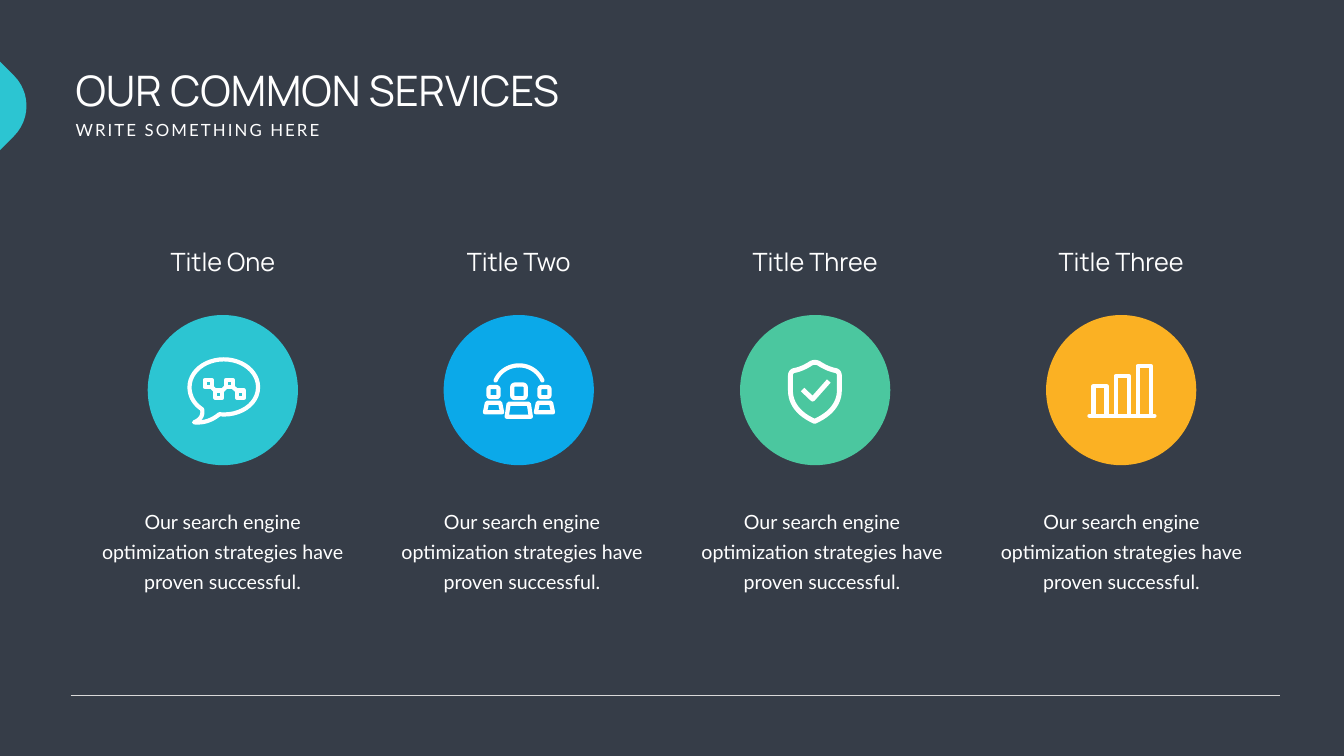
from lxml.etree import SubElement
from pptx import Presentation
from pptx.dml.color import RGBColor
from pptx.enum.shapes import MSO_CONNECTOR, MSO_SHAPE
from pptx.enum.text import MSO_ANCHOR, MSO_AUTO_SIZE, PP_ALIGN
from pptx.oxml.ns import qn
from pptx.util import Pt

PX = 9144  # one px is a hundredth of an inch
DARK = RGBColor(0x36, 0x3D, 0x48)
WHITE = RGBColor(0xFF, 0xFF, 0xFF)
GREY = RGBColor(0xD9, 0xD9, 0xD9)
TEAL = RGBColor(0x2C, 0xC5, 0xD2)
BLUE = RGBColor(0x0B, 0xA9, 0xE9)
GREEN = RGBColor(0x4B, 0xC7, 0x9F)
GOLD = RGBColor(0xFB, 0xB1, 0x23)


def stroke(shape, width=6, color=WHITE, cap="flat"):
    """Give a shape or connector a round-joined line and no shadow."""
    shape.line.color.rgb = color
    shape.line.width = Pt(width)
    props = shape.element.spPr
    line = props.find(qn("a:ln"))
    line.set("cap", cap)
    SubElement(line, qn("a:round"))
    SubElement(props, qn("a:effectLst"))


def trace(*parts, close=True):
    """Build one outline; a part lists points (x, y) and cubic curves of six numbers."""
    pen = None
    for steps in parts:
        dots = [steps[0]]
        for step in steps[1:]:
            if len(step) == 2:
                dots.append(step)
                continue
            start, (ax, ay, bx, by, cx, cy) = dots[-1], step
            for n in range(1, 13):
                t = n / 12
                u = 1 - t
                dots.append(tuple(
                    u**3 * p + 3 * u * u * t * a + 3 * u * t * t * b + t**3 * c
                    for p, a, b, c in zip(start, (ax, ay), (bx, by), (cx, cy))))
        dots = [(round(x * PX), round(y * PX)) for x, y in dots]
        if pen is None:
            pen = shapes.build_freeform(*dots[0])
        else:
            pen.move_to(*dots[0])
        pen.add_line_segments(dots[1:], close=close)
    shape = pen.convert_to_shape()
    shape.fill.background()
    return shape


deck = Presentation()
deck.slide_width, deck.slide_height = 2666 * PX, 1500 * PX
slide = deck.slides.add_slide(deck.slide_layouts[5])
shapes = slide.shapes
slide.background.fill.solid()
slide.background.fill.fore_color.rgb = DARK

# Title
title = shapes.title
title.left, title.top, title.width, title.height = (
    140 * PX, 122 * PX, 1606 * PX, 111 * PX)
frame = title.text_frame
frame.text = "OUR COMMON SERVICES"
frame.auto_size = MSO_AUTO_SIZE.NONE
frame.vertical_anchor = MSO_ANCHOR.MIDDLE
head = frame.paragraphs[0]
head.alignment = PP_ALIGN.LEFT
head.font.name, head.font.size = "Manrope", Pt(60)
head.font.color.rgb = WHITE

# Bottom rule and side tab
rule = shapes.add_connector(
    MSO_CONNECTOR.STRAIGHT, 140 * PX, 1379 * PX, 2540 * PX, 1379 * PX)
stroke(rule, 0.5, GREY)
tab = trace([(-62, 148), (-62, 187), (-62, 234, -24, 272, 23, 272), (62, 272)])
tab.rotation = 225
tab.fill.solid()
tab.fill.fore_color.rgb = TEAL
tab.line.fill.background()
tab.shadow.inherit = False

# Service circles, with the texts that go with them
BODY = "Our search engine optimization strategies have proven successful."
texts = [("WRITE SOMETHING HERE", 140, 233, 600, 50, "Lato", 24, PP_ALIGN.LEFT)]
items = [("Title One", 293, TEAL), ("Title Two", 880, BLUE),
         ("Title Three", 1468, GREEN), ("Title Three", 2075, GOLD)]
for i, (name, left, color) in enumerate(items):
    disc = shapes.add_shape(
        MSO_SHAPE.OVAL, left * PX, 625 * PX, 298 * PX, 298 * PX)
    disc.fill.solid()
    disc.fill.fore_color.rgb = color
    disc.line.fill.background()
    disc.shadow.inherit = False
    texts += [
        (name, left - 29, 484, 356, 71, "Manrope", 36, PP_ALIGN.CENTER),
        (BODY, 175 + round(i * 594.4), 993, 533, 185, "Lato", 28,
         PP_ALIGN.CENTER)]

# Text boxes
for text, left, top, width, height, font, size, align in texts:
    box = shapes.add_textbox(left * PX, top * PX, width * PX, height * PX)
    frame = box.text_frame
    frame.word_wrap = True
    frame.vertical_anchor = MSO_ANCHOR.MIDDLE
    frame.text = text
    para = frame.paragraphs[0]
    para.alignment = align
    para.font.name, para.font.size = font, Pt(size)
    para.font.color.rgb = WHITE
    if text == BODY:
        frame.vertical_anchor = MSO_ANCHOR.TOP
        para.line_spacing = Pt(43)
    if align == PP_ALIGN.LEFT:  # spaced letters in the subtitle
        for run in box.element.iter(qn("a:r")):
            run.get_or_add_rPr().set("spc", "300")

# Speech bubble icon: outline, then linked nodes
stroke(trace([
    (435, 822), (475, 826, 512, 803, 512, 768), (512, 738, 482, 713, 444, 713),
    (406, 713, 376, 738, 376, 768), (376, 788, 387, 803, 401, 812),
    (403, 822, 400, 832, 385, 838), (405, 840, 422, 833, 435, 822)]))
nodes = [(413, 761), (434, 782), (455, 761), (477, 782)]
web = [[(x - 7, y - 7), (x + 7, y - 7), (x + 7, y + 7), (x - 7, y + 7)]
       for x, y in nodes]
for (ax, ay), (bx, by) in zip(nodes, nodes[1:]):
    dip = 7 if by > ay else -7
    web.append([(ax + 7, ay + dip), (bx - 7, by - dip)])
stroke(trace(*web))

# Team icon: heads, bodies and arc
for left, top, side in [(1016, 763, 27), (969, 768, 20), (1070, 768, 20)]:
    face = shapes.add_shape(
        MSO_SHAPE.ROUNDED_RECTANGLE, left * PX, top * PX, side * PX, side * PX)
    face.adjustments[0] = 0.2
    face.fill.background()
    stroke(face)
for mid, top, base, high, low in [
        (1029, 20, 24, 801, 827), (979, 13, 17, 799, 818),
        (1080, 13, 17, 799, 818)]:
    stroke(trace([(mid - top, high), (mid + top, high),
                  (mid + base, low), (mid - base, low)]))
stroke(trace([(983, 755), (991, 737, 1009, 725, 1030, 725),
              (1050, 725, 1068, 737, 1076, 755)], close=False), cap="rnd")

# Shield icon with check mark
stroke(trace([
    (1616, 719), (1620, 719, 1623, 720, 1626, 722),
    (1632, 726, 1645, 733, 1657, 735), (1662, 736, 1665, 740, 1665, 745),
    (1665, 775), (1665, 800, 1648, 822, 1616, 836),
    (1584, 822, 1568, 800, 1568, 775), (1568, 745),
    (1568, 740, 1571, 736, 1576, 735), (1588, 733, 1601, 726, 1607, 722),
    (1610, 720, 1613, 719, 1616, 719)]), 7)
stroke(trace([(1592, 773), (1612, 792), (1644, 756)], close=False), 7)

# Bar icon: base line and three bars
bars = [[(2161, 825), (2290, 825)]]
for i in range(3):
    left, top = 2169 + 44 * i, 766 - 20 * i
    bars.append([(left, 825), (left, top), (left + 26, top), (left + 26, 825)])
stroke(trace(*bars), cap="rnd")

deck.save("out.pptx")
